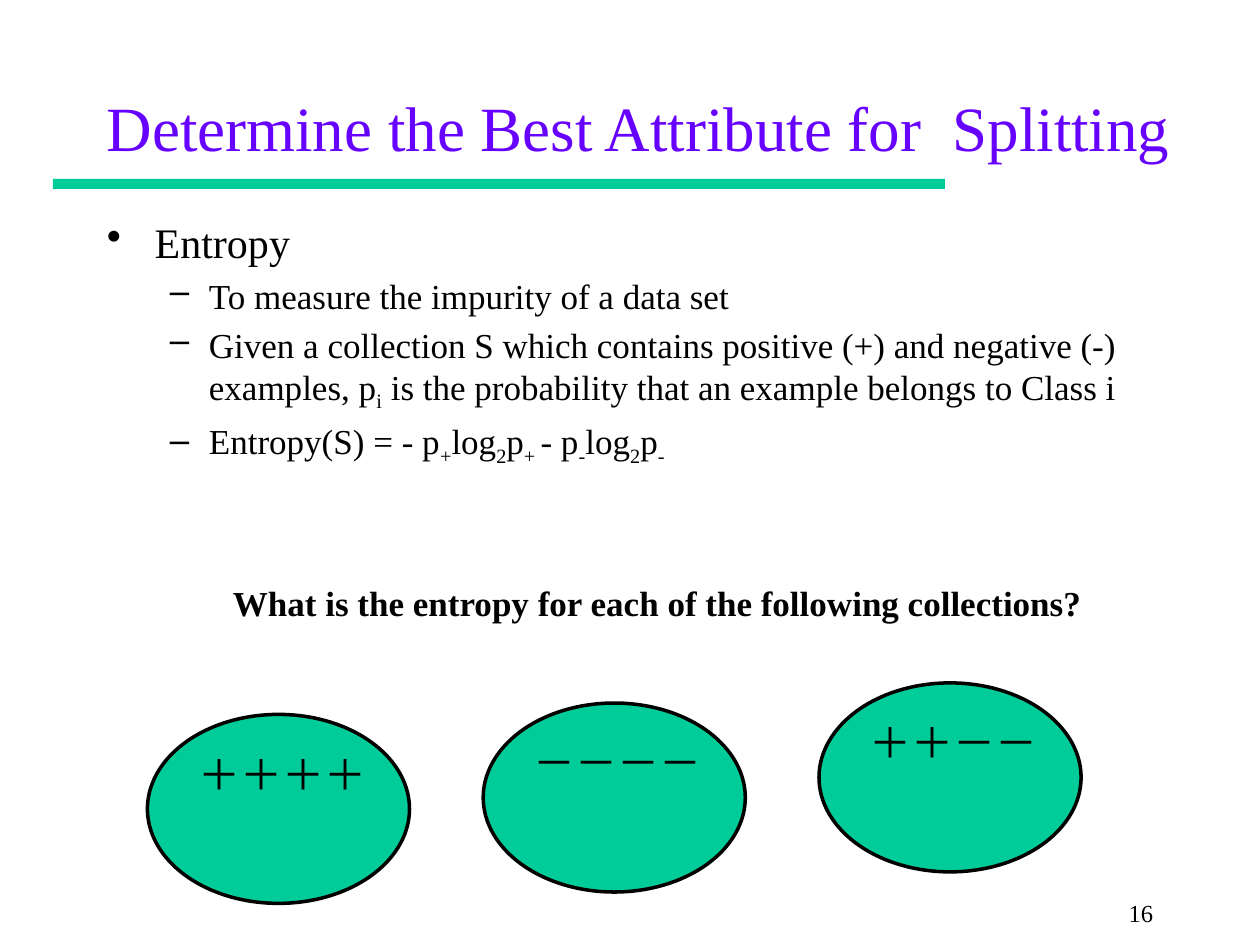
from lxml.etree import SubElement
from pptx import Presentation
from pptx.dml.color import RGBColor
from pptx.enum.shapes import MSO_SHAPE
from pptx.enum.text import MSO_ANCHOR, PP_ALIGN
from pptx.oxml.ns import qn
from pptx.util import Inches, Pt

FONT = "Times New Roman"
BLACK, GREEN, PURPLE = "000000", "00CC99", "6600FF"

TITLE = "Determine the Best Attribute for  Splitting"
PAGE_NUMBER = "16"
# Each paragraph is (style, runs); every second run is a subscript.
BODY = [
    ("topic", ["Entropy"]),
    ("point", ["To measure the impurity of a data set"]),
    ("point", ["Given a collection S which contains positive (+) and negative (-) examples, p",
               "i", " is the probability that an example belongs to Class i"]),
    ("point", ["Entropy(S) = - p", "+", "log", "2", "p", "+ ", "- p", "-", "log", "2", "p", "-"]),
    ("question", ["What is the entropy for each of the following collections?"]),
]
STYLES = {
    "topic": dict(level=0, bullet="•", margin=0.38, indent=-0.38, size=24, bold=False),
    "point": dict(level=1, bullet="–", margin=0.81, indent=-0.31, size=20, bold=False),
    "question": dict(level=2, bullet=None, margin=1.25, indent=-0.25, size=20, bold=True),
}
QUESTION_GAP = 65
COLLECTIONS = [("＋＋＋＋", 5.67), ("－－－－", 5.58), ("＋＋－－", 5.42)]
FIRST_LEFT, COLLECTION_STEP = 1.17, 2.665


def color(hex_string):
    return RGBColor.from_string(hex_string)


def format_run(run, size, hex_string=BLACK, bold=False):
    run.font.name = FONT
    run.font.size = Pt(size)
    run.font.bold = bold
    run.font.color.rgb = color(hex_string)


def add_text(slide, box, text, size, hex_string=BLACK):
    shape = slide.shapes.add_textbox(*map(Inches, box))
    shape.text_frame.word_wrap = True
    shape.text_frame.text = text
    for run in shape.text_frame.paragraphs[0].runs:
        format_run(run, size, hex_string)
    return shape.text_frame


def add_filled_shape(slide, kind, box):
    shape = slide.shapes.add_shape(kind, *map(Inches, box))
    shape.shadow.inherit = False
    shape.fill.solid()
    shape.fill.fore_color.rgb = color(GREEN)
    return shape


def set_layout(paragraph, style):
    """Set level, indents, spacing and bullet of a body paragraph."""
    paragraph.level = style["level"]
    properties = paragraph._p.get_or_add_pPr()
    properties.set("marL", str(Inches(style["margin"])))
    properties.set("indent", str(Inches(style["indent"])))
    if style["bullet"]:
        spacing = SubElement(properties, qn("a:spcBef"))
        SubElement(spacing, qn("a:spcPct")).set("val", "20000")
        SubElement(properties, qn("a:buChar")).set("char", style["bullet"])
    else:
        paragraph.space_before = Pt(QUESTION_GAP)
        SubElement(properties, qn("a:buNone"))


def add_body(slide):
    text_frame = add_text(slide, (0.75, 1.67, 8.67, 3.75), "", 24)
    for index, (style_name, texts) in enumerate(BODY):
        style = STYLES[style_name]
        paragraph = text_frame.add_paragraph() if index else text_frame.paragraphs[0]
        set_layout(paragraph, style)
        for position, text in enumerate(texts):
            run = paragraph.add_run()
            run.text = text
            format_run(run, style["size"], bold=style["bold"])
            if position % 2:
                run.font._element.set("baseline", "-25000")


def add_collection(slide, text, left, top):
    ellipse = add_filled_shape(slide, MSO_SHAPE.OVAL, (left, top, 2.08, 1.5))
    ellipse.line.color.rgb = color(BLACK)
    ellipse.line.width = Pt(2)
    text_frame = ellipse.text_frame
    text_frame.word_wrap = False
    text_frame.vertical_anchor = MSO_ANCHOR.TOP
    text_frame.text = text
    paragraph = text_frame.paragraphs[0]
    paragraph.alignment = PP_ALIGN.LEFT
    format_run(paragraph.runs[0], 24)


def main():
    presentation = Presentation()
    presentation.slide_width, presentation.slide_height = Inches(10), Inches(7.5)
    slide = presentation.slides.add_slide(presentation.slide_layouts[6])

    rule = add_filled_shape(slide, MSO_SHAPE.RECTANGLE, (0.42, 1.42, 7.08, 0.08))
    rule.line.fill.background()
    title = add_text(slide, (0.75, 0.67, 8.83, 0.67), TITLE, 36, PURPLE)
    title.vertical_anchor = MSO_ANCHOR.MIDDLE
    add_body(slide)
    number = add_text(slide, (7.25, 7.08, 2, 0.25), PAGE_NUMBER, 14)
    number.paragraphs[0].alignment = PP_ALIGN.RIGHT
    for index, (text, top) in enumerate(COLLECTIONS):
        add_collection(slide, text, FIRST_LEFT + index * COLLECTION_STEP, top)

    presentation.save("out.pptx")


if __name__ == "__main__":
    main()
